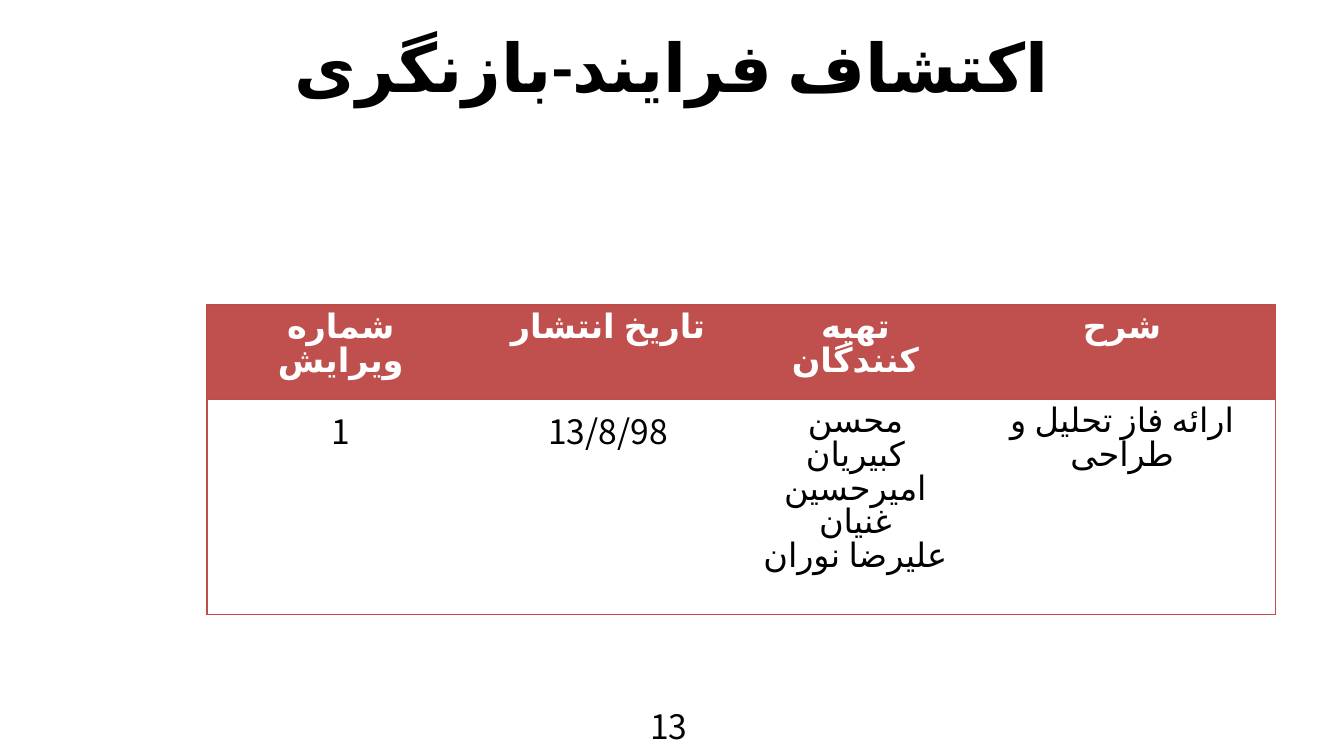
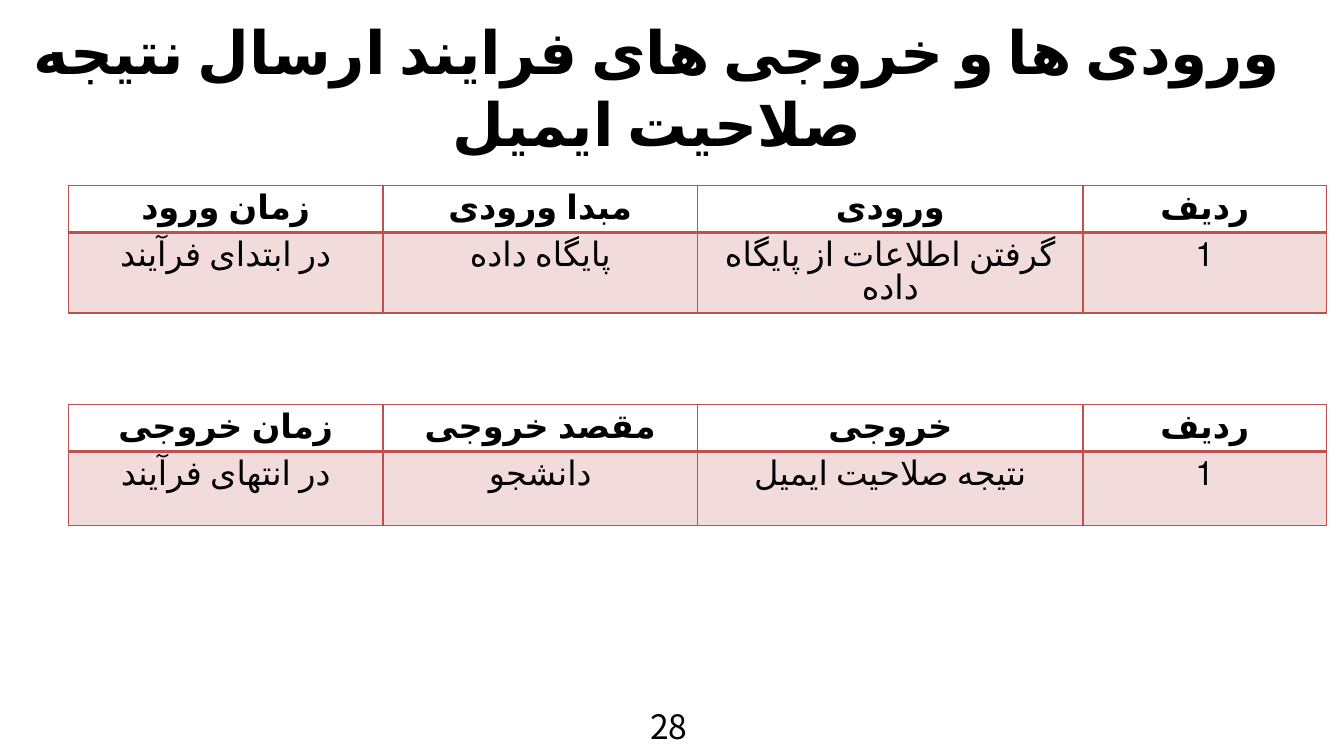
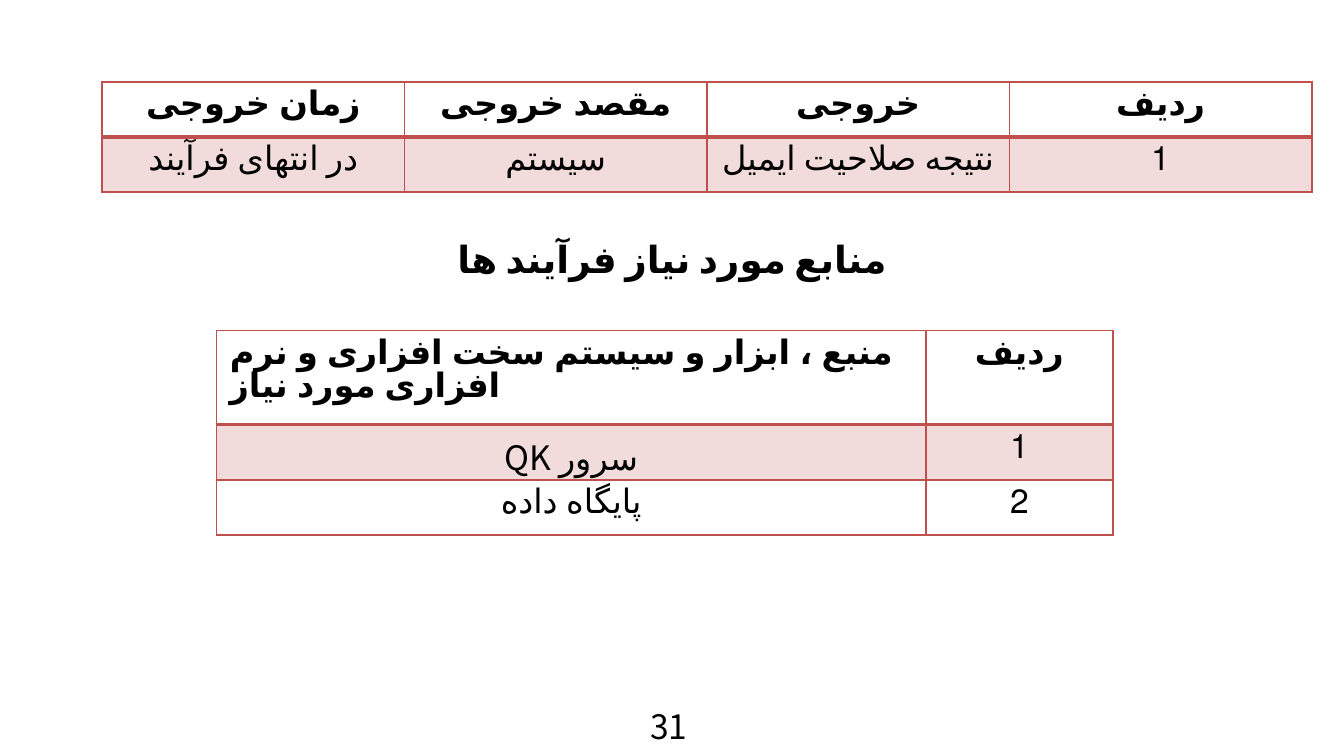
"""Build three right-to-left slides with process tables."""
from lxml.etree import SubElement as Sub
from pptx import Presentation as Deck
from pptx.dml.color import RGBColor as Rgb
from pptx.enum.text import MSO_ANCHOR as Anchor, MSO_AUTO_SIZE as Fit, PP_ALIGN as Align
from pptx.oxml.ns import qn
from pptx.util import Inches, Pt

RED, EDGE, BLACK, WHITE = "C0504D", "BF4C48", "000000", "FFFFFF"
HEAD, BODY, TONGUE = "Calibri", "Noto Sans CJK KR", "fa-IR"
PLAIN = "{2D5ABB26-0587-4C30-8999-92F81FD0307C}"
SIDES = ("L", "R", "T", "B")


def color(code):
    """Turn a hex string into a colour."""
    return Rgb.from_string(code)


def write(frame, text, size=18, font=BODY, ink=BLACK, bold=False, align=Align.CENTER, rtl=False):
    """Fill a text frame, one paragraph for each line of text."""
    frame.word_wrap = True
    for pos, line in enumerate(text.split("\n")):
        para = frame.add_paragraph() if pos else frame.paragraphs[0]
        para.alignment = align
        if rtl:
            para._p.get_or_add_pPr().set("rtl", "1")
        run = para.add_run()
        run.text = line
        run.font.size, run.font.name, run.font.bold = Pt(size), font, bold
        run.font.color.rgb = color(ink)
        run._r.rPr.set("lang", TONGUE)
        if font == HEAD:
            Sub(run._r.rPr, qn("a:cs"), typeface=font)


def place(left, top, width, height):
    """Give a box in inches."""
    return [Inches(num) for num in (left, top, width, height)]


def title(slide, text, box, size):
    """Move and fill the title placeholder."""
    shape = slide.shapes.title
    shape.left, shape.top, shape.width, shape.height = place(*box)
    frame = shape.text_frame
    frame.auto_size, frame.vertical_anchor = Fit.NONE, Anchor.MIDDLE
    write(frame, text, size=size, font=HEAD, bold=True, rtl=True)


def label(slide, text, box, **form):
    """Add a text box."""
    write(slide.shapes.add_textbox(*place(*box)).text_frame, text, **form)


def number(slide, text):
    """Add the page number at the foot."""
    label(slide, text, (4.74, 5.2, 0.51, 0.34), align=Align.LEFT)


def border(cell, widths, code):
    """Draw the cell sides; a width of zero hides one."""
    props = cell._tc.get_or_add_tcPr()
    for side, width in zip(SIDES, widths):
        line = Sub(props, qn("a:ln" + side), w=str(Pt(width)))
        if width:
            Sub(Sub(line, qn("a:solidFill")), qn("a:srgbClr"), val=code)
        else:
            Sub(line, qn("a:noFill"))


def paint(cell, code, alpha=100):
    """Fill a cell, see-through when alpha is below 100."""
    cell.fill.solid()
    cell.fill.fore_color.rgb = color(code)
    if alpha < 100:
        tone = cell._tc.tcPr.find(qn("a:solidFill")).find(qn("a:srgbClr"))
        Sub(tone, qn("a:alpha"), val=str(alpha * 1000))


def table(slide, left, top, cols, rows, data):
    """Add an unstyled table and yield its cells with row, column and text."""
    box = place(left, top, sum(cols), sum(rows))
    grid = slide.shapes.add_table(len(rows), len(cols), *box).table
    grid._tbl.tblPr.find(qn("a:tableStyleId")).text = PLAIN
    grid.horz_banding = False
    for col, width in zip(grid.columns, cols):
        col.width = Inches(width)
    for row, height in zip(grid.rows, rows):
        row.height = Inches(height)
    for y, line in enumerate(data):
        for x, text in enumerate(line):
            yield grid.cell(y, x), y, x, text


def solid(slide, left, top, cols, rows, data):
    """Add a table with a red header and an outer frame."""
    for cell, y, x, text in table(slide, left, top, cols, rows, data):
        last = x == len(cols) - 1
        border(cell, [0.75 * on for on in (x == 0, last, True, True)], EDGE)
        if y == 0:
            paint(cell, RED)
        else:
            cell.fill.background()
        write(cell.text_frame, text, bold=y == 0, ink=BLACK if y else WHITE)


def lined(slide, left, top, cols, rows, data, start=Align.CENTER, foot=0.05):
    """Add a ruled table with odd rows tinted; start aligns the first header."""
    for cell, y, x, text in table(slide, left, top, cols, rows, data):
        cell.margin_bottom = Inches(foot)
        border(cell, (1, 1, 2 if y == 1 else 1, 2 if y == 0 else 1), RED)
        if y % 2:
            paint(cell, RED, 20)
        else:
            cell.fill.background()
        first = x == y == 0
        write(cell.text_frame, text, bold=y == 0, rtl=not first,
              align=start if first else Align.CENTER)


def outs(goal):
    """Give the output rows for one receiver."""
    return (("زمان خروجی", "مقصد خروجی", "خروجی", "ردیف"),
            ("در انتهای فرآیند", goal, "نتیجه صلاحیت ایمیل", "1"))


def review(slide):
    """Build the revision slide."""
    title(slide, "اکتشاف فرایند-بازنگری", (0, 0, 10, 0.97), 36)
    number(slide, "13")
    solid(slide, 1.54, 2.27, (1.99, 1.99, 1.69, 2.28), (0.61, 1.35), (
        ("شماره ویرایش", "تاریخ انتشار", "تهیه کنندگان", "شرح"),
        ("1", "13/8/98", "محسن کبیریان\nامیرحسین غنیان\nعلیرضا نوران",
         "ارائه فاز تحلیل و طراحی")))


def flow(slide):
    """Build the slide of inputs and outputs."""
    title(slide, "ورودی ها و خروجی های فرایند ارسال نتیجه صلاحیت ایمیل",
          (-0.22, 0.21, 10.22, 0.87), 32)
    cols = (2.34, 2.34, 2.87, 1.81)
    lined(slide, 0.51, 1.38, cols, (0.35, 0.6), (
        ("زمان ورود", "مبدا ورودی", "ورودی", "ردیف"),
        ("در ابتدای فرآیند", "پایگاه داده", "گرفتن اطلاعات از پایگاه داده", "1")), foot=0)
    number(slide, "28")
    lined(slide, 0.51, 3.01, cols, (0.35, 0.55), outs("دانشجو"), foot=0)


def needs(slide):
    """Build the slide of outputs and resources."""
    lined(slide, 0.76, 0.61, (2.25,) * 4, (0.41, 0.41), outs("سیستم"))
    number(slide, "31")
    label(slide, "منابع مورد نیاز فرآیند ها", (2.5, 1.71, 5, 0.44),
          size=20, font=HEAD, bold=True, rtl=True)
    lined(slide, 1.61, 2.46, (5.28, 1.39), (0.7, 0.41, 0.41), (
        ("منبع ، ابزار و سیستم سخت افزاری و نرم افزاری مورد نیاز", "ردیف"),
        ("سرور QK", "1"),
        ("پایگاه داده", "2")), start=Align.LEFT)


def main():
    """Build and save the deck."""
    deck = Deck()
    deck.slide_width, deck.slide_height = Inches(10), Inches(10) * 9 // 16
    named, blank = deck.slide_layouts[5], deck.slide_layouts[6]
    review(deck.slides.add_slide(named))
    flow(deck.slides.add_slide(named))
    needs(deck.slides.add_slide(blank))
    deck.save("out.pptx")


main()
